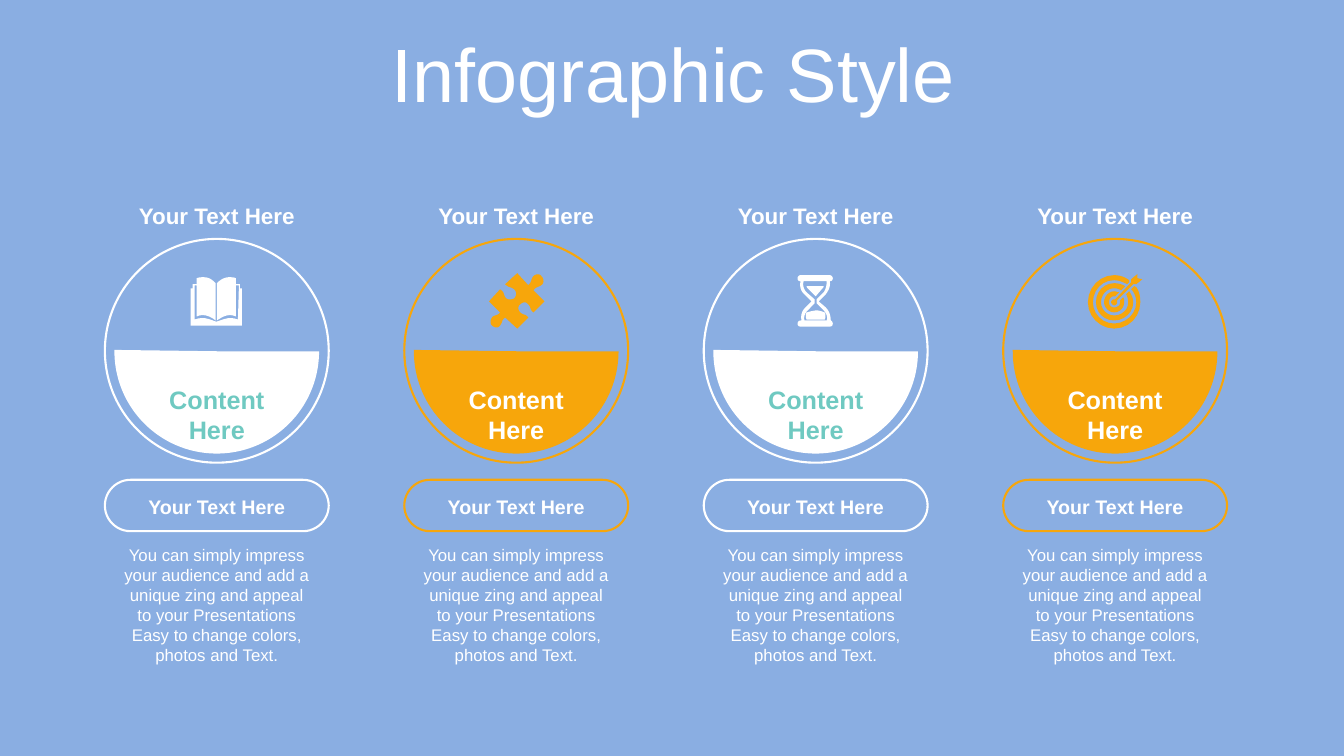
from pptx import Presentation
from pptx.dml.color import RGBColor
from pptx.enum.shapes import MSO_SHAPE
from pptx.enum.text import MSO_ANCHOR, MSO_AUTO_SIZE, PP_ALIGN
from pptx.util import Inches, Pt

WHITE, ORANGE, TEAL, BLUE = "FFFFFF", "F7A60B", "6FC9C1", "8AAEE2"
HEADING = "Your Text Here"
DESCRIPTION = (
    "You can simply impress your audience and add a unique zing and appeal "
    "to your Presentations Easy to change colors, photos and Text."
)
COLUMN_LEFT, COLUMN_PITCH, COLUMN_TOP, COLUMN_WIDTH = 1.04, 2.97, 1.96, 2.22
ICON_UNIT = 0.01
CURVE_STEPS = 6

BOOK = """
M 25 44 L 26 44 C 35 41 39 39 47 42 L 48 8 L 45 8 L 45 39 C 39 36 33 38 26 43
L 26 6 C 30 2 34 0 38 0 C 40 0 43 0 45 1 L 45 7 L 49 7 L 49 11 L 51 11 L 51 48
L 0 48 L 0 11 L 2 11 L 2 7 L 6 7 L 6 1 C 9 0 11 0 13 0 C 18 0 21 2 25 6
L 25 43 C 19 38 12 36 6 39 L 6 8 L 4 8 L 4 42 C 12 39 17 41 25 44
"""
PUZZLE = """
M 52 3 C 54 5 55 8 53 11 C 50 14 47 13 44 17 L 55 28 L 44 39
C 40 36 42 33 38 30 C 36 28 33 29 31 31 C 29 32 28 36 31 39 C 34 42 36 40 39 44
L 28 55 L 16 44 C 12 47 14 48 11 52 C 9 55 5 54 3 52 C 1 50 1 47 3 44
C 5 41 8 43 11 39 L 0 28 L 11 16 C 16 19 14 22 17 25 C 20 27 23 26 25 25
C 27 23 28 19 25 16 C 21 13 20 15 16 11 L 28 0 L 39 12 C 43 8 41 7 44 3
C 47 0 51 1 52 3
"""
HOURGLASS = """
M 19 35 C 22 35 24 36 27 37 C 28 39 28 42 27 44 L 9 44 C 8 42 8 39 9 37
C 13 36 16 35 19 35
M 9 11 L 26 11 C 26 12 25 13 24 14 L 18 21 L 11 14 C 10 13 9 12 9 11
M 6 6 C 5 10 6 14 9 17 L 17 24 L 17 28 L 10 35 C 7 38 6 42 7 45 L 29 45
C 30 42 29 38 26 35 L 19 28 L 19 24 L 26 17 C 28 14 29 10 29 6
M 3 0 L 32 0 C 34 0 35 2 35 3 C 35 5 34 6 32 6 C 33 11 31 15 28 19 L 21 26
L 28 32 C 32 36 33 41 33 45 C 34 45 35 47 35 48 C 35 50 34 51 32 51 L 3 51
C 1 51 0 50 0 48 C 0 47 1 45 3 45 L 4 45 C 3 41 4 36 7 33 L 14 26 L 7 19
C 3 16 2 11 3 6 C 1 6 0 5 0 3 C 0 2 1 0 3 0
"""
TARGET = """
M 26 17 C 28 17 29 18 31 18 L 27 22 L 26 22 C 23 22 21 24 21 28
C 21 31 23 33 26 33 C 29 33 32 31 32 28 L 32 26 L 35 23 C 36 24 36 26 36 28
C 36 33 32 38 26 38 C 21 38 16 33 16 28 C 16 22 21 17 26 17
M 26 9 C 30 9 34 10 37 12 L 33 16 C 31 15 29 14 26 14 C 19 14 13 20 13 28
C 13 35 19 41 26 41 C 34 41 40 35 40 28 C 40 25 39 22 38 20 L 41 17
C 43 20 45 24 45 28 C 45 38 36 46 26 46 C 16 46 8 38 8 28 C 8 17 16 9 26 9
M 26 1 C 32 1 37 3 41 6 L 41 8 L 39 10 C 35 8 31 6 26 6 C 14 6 5 16 5 28
C 5 39 14 49 26 49 C 38 49 48 39 48 28 C 48 23 46 18 43 15 L 46 12 L 48 13
C 51 17 52 22 52 28 C 52 42 41 54 26 54 C 12 54 0 42 0 28 C 0 13 12 1 26 1
M 49 0 L 49 4 L 54 5 L 48 10 L 45 10 L 29 26 L 29 28 C 29 29 28 31 26 31
C 25 31 23 29 23 28 C 23 26 25 25 26 25 L 27 25 L 43 8 L 43 5
"""
COLUMNS = [
    {"accent": WHITE, "content": TEAL, "icon": BOOK, "offset": (0.85, 0.79)},
    {"accent": ORANGE, "content": WHITE, "icon": PUZZLE, "offset": (0.84, 0.75)},
    {"accent": WHITE, "content": TEAL, "icon": HOURGLASS, "offset": (0.93, 0.77)},
    {"accent": ORANGE, "content": WHITE, "icon": TARGET, "offset": (0.84, 0.76)},
]


def color(hex_string):
    return RGBColor.from_string(hex_string)


def add_text(slide, box, text, size, text_color=WHITE, bold=False,
             anchor=MSO_ANCHOR.TOP, line_spacing=None):
    shape = slide.shapes.add_textbox(*map(Inches, box))
    frame = shape.text_frame
    frame_format = {"word_wrap": True, "auto_size": MSO_AUTO_SIZE.SHAPE_TO_FIT_TEXT,
                    "vertical_anchor": anchor}
    for name, value in frame_format.items():
        setattr(frame, name, value)
    paragraph = frame.paragraphs[0]
    paragraph.alignment = PP_ALIGN.CENTER
    paragraph.line_spacing = line_spacing
    run = paragraph.add_run()
    run.text = text
    for name, value in {"name": "Arial", "size": Pt(size), "bold": bold}.items():
        setattr(run.font, name, value)
    run.font.color.rgb = color(text_color)


def paint(shape, fill=None, line=None):
    shape.shadow.inherit = False
    if fill:
        shape.fill.solid()
        shape.fill.fore_color.rgb = color(fill)
    else:
        shape.fill.background()
    if line:
        shape.line.color.rgb = color(line)
        shape.line.width = Pt(1.5)
    else:
        shape.line.fill.background()


def add_preset(slide, kind, box, adjustments=(), **colors):
    shape = slide.shapes.add_shape(kind, *map(Inches, box))
    for index, value in enumerate(adjustments):
        shape.adjustments[index] = value
    paint(shape, **colors)


def curve_points(start, first, second, end):
    for step in range(1, CURVE_STEPS + 1):
        t = step / CURVE_STEPS
        weights = ((1 - t) ** 3, 3 * t * (1 - t) ** 2, 3 * t * t * (1 - t), t ** 3)
        yield tuple(
            sum(weight * value for weight, value in zip(weights, axis))
            for axis in zip(start, first, second, end)
        )


def outline_points(outline):
    points = []
    for segment in outline.replace("L", "|L").replace("C", "|C").split("|"):
        numbers = [int(token) * 100 for token in segment.split() if token.isdigit()]
        pairs = list(zip(numbers[::2], numbers[1::2]))
        points.extend(curve_points(points[-1], *pairs) if len(pairs) == 3 else pairs)
    return points


def add_icon(slide, left, top, outlines, fill):
    contours = [outline_points(part) for part in outlines.split("M") if part.strip()]
    builder = slide.shapes.build_freeform(*contours[0][0], scale=Inches(ICON_UNIT) / 100)
    for index, contour in enumerate(contours):
        if index:
            builder.move_to(*contour[0])
        builder.add_line_segments(contour[1:], close=True)
    paint(builder.convert_to_shape(Inches(left), Inches(top)), fill=fill)


def add_title(slide, box):
    add_text(slide, box, "Infographic Style", 54, anchor=MSO_ANCHOR.MIDDLE, line_spacing=0.9)


def add_column(slide, left, top, width, accent, content, icon, offset):
    def centered(part_width, down, height):
        return left + (width - part_width) / 2, top + down, part_width, height

    add_preset(slide, MSO_SHAPE.OVAL, centered(width, 0.41, width), line=accent)
    add_preset(slide, MSO_SHAPE.PIE, centered(2.03, 0.51, 2.03), (0, 108.45), fill=accent)
    add_text(slide, centered(1.42, 1.8, 0.71), "Content Here", 18, content, bold=True)
    add_text(slide, centered(2.03, 0, 0.37), HEADING, 16, bold=True)
    add_preset(slide, MSO_SHAPE.ROUNDED_RECTANGLE, centered(width, 2.8, 0.51), (0.5,),
               line=accent)
    add_text(slide, centered(2.05, 3.39, 1.31), DESCRIPTION, 12)
    add_text(slide, centered(1.6, 2.9, 0.34), HEADING, 14, bold=True)
    add_icon(slide, left + offset[0], top + offset[1], icon, accent)


def main():
    presentation = Presentation()
    presentation.slide_width = Inches(13.33)
    presentation.slide_height = Inches(7.5)
    slide = presentation.slides.add_slide(presentation.slide_layouts[6])
    slide.background.fill.solid()
    slide.background.fill.fore_color.rgb = color(BLUE)
    add_title(slide, (0.35, 0.31, 12.66, 0.92))
    for index, column in enumerate(COLUMNS):
        left = COLUMN_LEFT + index * COLUMN_PITCH
        add_column(slide, left, COLUMN_TOP, COLUMN_WIDTH, **column)
    presentation.save("out.pptx")


if __name__ == "__main__":
    main()
